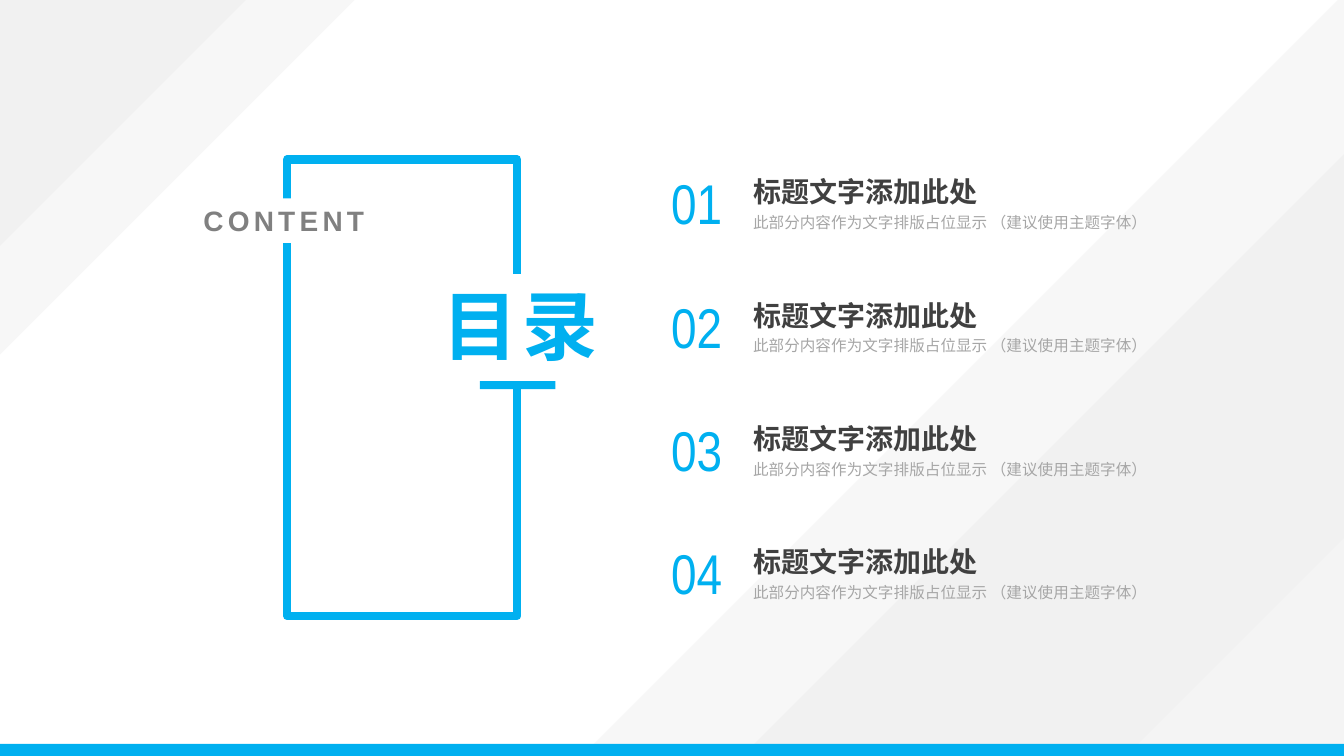
from dataclasses import dataclass
from typing import Optional

from lxml.etree import SubElement
from pptx import Presentation
from pptx.dml.color import RGBColor
from pptx.enum.shapes import MSO_SHAPE
from pptx.enum.text import MSO_ANCHOR, PP_ALIGN
from pptx.oxml.ns import qn
from pptx.shapes.autoshape import Shape
from pptx.slide import Slide
from pptx.util import Pt

BLUE = RGBColor(0x00, 0xB0, 0xF0)
WHITE = RGBColor(0xFF, 0xFF, 0xFF)
PALE_GRAY = RGBColor(0xD9, 0xD9, 0xD9)
TITLE_GRAY = RGBColor(0x40, 0x40, 0x40)
LABEL_GRAY = RGBColor(0x80, 0x80, 0x80)
NOTE_GRAY = RGBColor(0xA6, 0xA6, 0xA6)

PAGE_WIDTH, PAGE_HEIGHT = 960, 540
ENTRY_STEP = 88.1
ENTRY_TITLE = "标题文字添加此处"
ENTRY_NOTE = "此部分内容作为文字排版占位显示 （建议使用主题字体）"


@dataclass
class Area:
    left: float
    top: float
    width: float
    height: float

    def lowered(self, distance: float) -> "Area":
        return Area(self.left, self.top + distance, self.width, self.height)


@dataclass
class CornerTriangle:
    corner_x: float
    corner_y: float
    leg: float  # negative legs run left and up from the corner
    color: RGBColor
    opacity: int


@dataclass
class TextStyle:
    size: float
    color: RGBColor
    font: str = "Arial"
    bold: bool = False
    spacing: float = 0
    align: PP_ALIGN = PP_ALIGN.LEFT
    anchor: MSO_ANCHOR = MSO_ANCHOR.TOP
    wrap: bool = False
    indent: Optional[float] = None  # left inset, with the other insets at zero
    line_spacing: Optional[float] = None


TRIANGLES = [
    CornerTriangle(0, 0, 253.4, PALE_GRAY, 20),
    CornerTriangle(0, 0, 175.7, PALE_GRAY, 20),
    CornerTriangle(PAGE_WIDTH, PAGE_HEIGHT, -544.3, PALE_GRAY, 20),
    CornerTriangle(PAGE_WIDTH, PAGE_HEIGHT, -429.8, PALE_GRAY, 20),
    CornerTriangle(PAGE_WIDTH, PAGE_HEIGHT, -155.5, WHITE, 25),
]

HEADING = TextStyle(54, BLUE, bold=True, spacing=3, align=PP_ALIGN.RIGHT, wrap=True)
LABEL = TextStyle(20, LABEL_GRAY, bold=True, spacing=3)
NUMBER = TextStyle(40, BLUE, font="Arial Narrow", anchor=MSO_ANCHOR.MIDDLE)
TITLE = TextStyle(20, TITLE_GRAY, bold=True, anchor=MSO_ANCHOR.BOTTOM, indent=28.1)
NOTE = TextStyle(11.1, NOTE_GRAY, anchor=MSO_ANCHOR.MIDDLE, wrap=True,
                 indent=28.1, line_spacing=1.2)


def draw_triangle(page: Slide, triangle: CornerTriangle) -> None:
    x, y, leg = triangle.corner_x, triangle.corner_y, triangle.leg
    builder = page.shapes.build_freeform(Pt(x), Pt(y))
    builder.add_line_segments([(Pt(x + leg), Pt(y)), (Pt(x), Pt(y + leg))], close=True)
    shape = builder.convert_to_shape()
    shape.shadow.inherit = False
    shape.fill.solid()
    shape.fill.fore_color.rgb = triangle.color
    shape.line.fill.background()
    color_element = next(shape.element.spPr.iter(qn("a:srgbClr")))
    SubElement(color_element, qn("a:alpha"), val=str(triangle.opacity * 1000))


def draw_block(page: Slide, area: Area, color: RGBColor) -> Shape:
    block = page.shapes.add_shape(MSO_SHAPE.RECTANGLE, Pt(area.left), Pt(area.top),
                                  Pt(area.width), Pt(area.height))
    block.shadow.inherit = False
    block.fill.solid()
    block.fill.fore_color.rgb = color
    block.line.fill.background()
    return block


def draw_frame(page: Slide, area: Area) -> None:
    frame = draw_block(page, area, WHITE)
    frame.fill.background()
    frame.line.color.rgb = BLUE
    frame.line.width = Pt(6)


def write_text(box: Shape, text: str, style: TextStyle) -> None:
    text_frame = box.text_frame
    text_frame.text = text
    text_frame.word_wrap = style.wrap
    text_frame.vertical_anchor = style.anchor
    if style.indent is not None:
        text_frame.margin_left = Pt(style.indent)
        text_frame.margin_top = text_frame.margin_right = text_frame.margin_bottom = 0
    para = text_frame.paragraphs[0]
    para.alignment = style.align
    if style.line_spacing:
        para.line_spacing = style.line_spacing
    span = para.runs[0]
    span.font.name = style.font
    span.font.size = Pt(style.size)
    span.font.bold = style.bold
    span.font.color.rgb = style.color
    if style.spacing:
        span.font._element.set("spc", str(int(style.spacing * 100)))


def draw_text(page: Slide, area: Area, text: str, style: TextStyle) -> None:
    box = page.shapes.add_textbox(Pt(area.left), Pt(area.top),
                                  Pt(area.width), Pt(area.height))
    write_text(box, text, style)


def draw_entry(page: Slide, index: int) -> None:
    offset = index * ENTRY_STEP
    draw_text(page, Area(472.3, 116.9, 52, 55.4).lowered(offset), f"{index + 1:02d}", NUMBER)
    draw_text(page, Area(509.8, 129.4, 311.8, 19.4).lowered(offset), ENTRY_TITLE, TITLE)
    draw_text(page, Area(509.8, 144.7, 311.8, 25.2).lowered(offset), ENTRY_NOTE, NOTE)


def main() -> None:
    deck = Presentation()
    deck.slide_width, deck.slide_height = Pt(PAGE_WIDTH), Pt(PAGE_HEIGHT)
    page = deck.slides.add_slide(deck.slide_layouts[6])

    # Background corners and bottom band
    for triangle in TRIANGLES:
        draw_triangle(page, triangle)
    draw_block(page, Area(0, 531.4, PAGE_WIDTH, 8.6), BLUE)

    # Framed heading
    draw_frame(page, Area(205.2, 113.8, 164.2, 326.2))
    write_text(draw_block(page, Area(304.6, 195.8, 129.6, 82.1), WHITE), "目录", HEADING)
    write_text(draw_block(page, Area(138.2, 141.8, 133.9, 31.7), WHITE), "CONTENT", LABEL)
    draw_block(page, Area(342.7, 272.2, 54, 5.8), BLUE)

    # Contents entries
    for index in range(4):
        draw_entry(page, index)

    deck.save("out.pptx")


if __name__ == "__main__":
    main()
